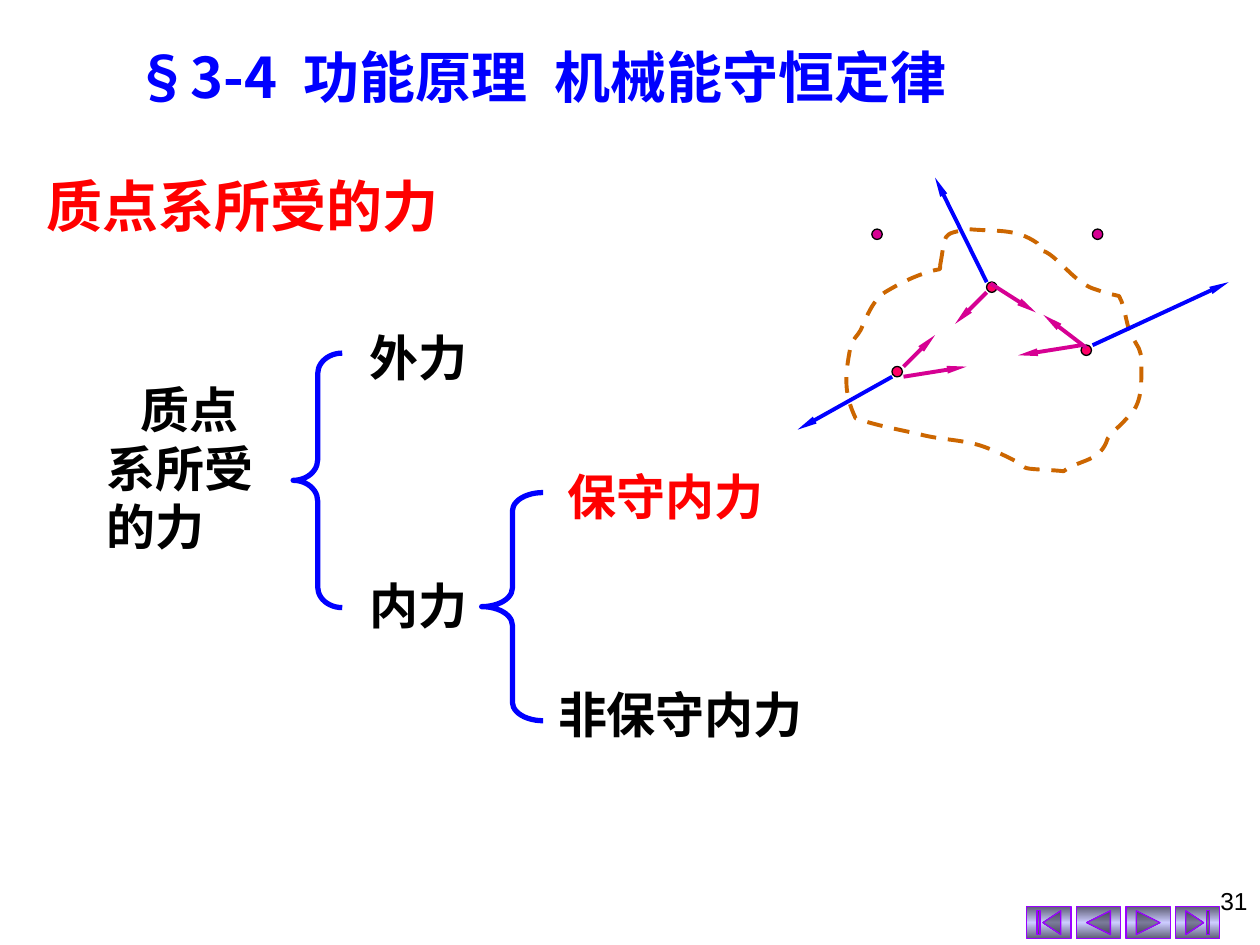
from dataclasses import dataclass
from itertools import chain

from lxml import etree
from pptx import Presentation
from pptx import util as u
from pptx.dml.color import RGBColor
from pptx.enum import dml, shapes, text
from pptx.oxml import parse_xml
from pptx.oxml.ns import nsdecls, qn


@dataclass(frozen=True)
class Theme:
    blue: str = "0000FF"
    red: str = "FF0000"
    black: str = "000000"
    magenta: str = "D60093"
    pink: str = "FF0066"
    brown: str = "CC6600"
    violet: str = "9900FF"
    steel: str = "5E5E76"
    lilac: str = "CCCCFF"
    heading_size: int = 32
    label_size: int = 28
    number_size: int = 14
    heading_font: str = "Noto Sans CJK SC"
    label_font: str = "Times New Roman"
    number_font: str = "Arial"


THEME = Theme()

# The force diagram is drawn on a grid of this many units.
GRID_WIDTH, GRID_HEIGHT = 342, 233
OUTLINE_START = (113, 70)
# Each curve has two control points and an end point.
OUTLINE_CURVES = [
    ((118, 44), (113, 45), (136, 41)), ((157, 43), (173, 40), (190, 52)),
    ((199, 67), (188, 53), (200, 61)), ((211, 69), (221, 83), (234, 88)),
    ((249, 93), (242, 91), (255, 94)), ((261, 105), (260, 119), (267, 129)),
    ((272, 138), (270, 133), (273, 143)), ((272, 157), (275, 175), (265, 187)),
    ((261, 191), (257, 196), (252, 200)), ((250, 202), (246, 207), (246, 207)),
    ((240, 226), (225, 223), (211, 233)), ((202, 232), (193, 232), (184, 231)),
    ((177, 230), (177, 227), (171, 224)), ((163, 220), (155, 216), (146, 213)),
    ((131, 208), (113, 208), (98, 204)), ((81, 200), (63, 197), (46, 191)),
    ((37, 172), (37, 159), (42, 134)), ((43, 129), (48, 125), (50, 121)),
    ((55, 110), (60, 96), (71, 90)), ((83, 83), (93, 78), (107, 74)),
    ((114, 72), (113, 74), (113, 70)),
]
OUTER_PARTICLES = [(63, 45), (238, 45)]
INNER_PARTICLES = [(229, 137), (79, 154), (154, 87)]
INTERNAL_FORCES = [
    ((150, 91), (125, 116)), ((84, 150), (109, 125)), ((84, 158), (134, 150)),
    ((225, 133), (175, 141)), ((153, 84), (189, 107)), ((229, 135), (195, 109)),
]
EXTERNAL_FORCES = [
    ((150, 83), (109, 0)), ((75, 158), (0, 200)), ((234, 133), (342, 83)),
]


def rgb(color):
    return RGBColor.from_string(color)


def style_line(line, color, width):
    line.color.rgb = rgb(color)
    line.width = u.Pt(width)


def format_runs(paragraph, size, font_name, color, bold=True):
    for run in paragraph.runs:
        run.font.size = u.Pt(size)
        run.font.name = font_name
        run.font.bold = bold
        run.font.color.rgb = rgb(color)
        east_asian = etree.SubElement(run.font._element, qn("a:ea"))
        east_asian.set("typeface", THEME.heading_font)


def add_text(slide, box, words, size, font_name, color, bold=True, wrap=True):
    shape = slide.shapes.add_textbox(*box)
    shape.text_frame.text = words
    shape.text_frame.word_wrap = wrap
    paragraph = shape.text_frame.paragraphs[0]
    format_runs(paragraph, size, font_name, color, bold)
    return paragraph


def fill_title(title, box):
    title.left, title.top, title.width, title.height = box
    frame = title.text_frame
    frame.auto_size = text.MSO_AUTO_SIZE.NONE
    frame.vertical_anchor = text.MSO_ANCHOR.MIDDLE
    paragraph = frame.paragraphs[0]
    paragraph.alignment = text.PP_ALIGN.CENTER
    for part in ("§3-4", " ", "功能原理", " ", "机械能守恒定律"):
        run = paragraph.add_run()
        run.text = part
        if part == " ":
            run.font._element.set("spc", "780")  # widens the gap
    format_runs(paragraph, THEME.heading_size, THEME.heading_font, THEME.blue)


def add_force_tree(slide, left, top):
    """Braces that split the forces on a system into their kinds."""
    def label(x, y, width, height, words, color=THEME.black, wrap=False):
        box = left + u.Cm(x), top + u.Cm(y), u.Cm(width), u.Cm(height)
        return add_text(slide, box, words, THEME.label_size, THEME.label_font, color, wrap=wrap)

    root = label(0, 1.04, 3.78, 3.81, "质点系所受的力", wrap=True)
    root._p.get_or_add_pPr().set("indent", str(u.Cm(0.68)))
    label(5.3, 0, 2.49, 1.45, "外力")
    label(5.3, 5, 2.49, 1.45, "内力")
    label(9.3, 2.79, 4.47, 1.45, "保守内力", THEME.red)
    label(9.1, 7.2, 5.46, 1.45, "非保守内力")

    braces = [(4.01, 0.64, 0.99, 5.13, 0.42), (7.81, 3.45, 1.24, 4.6, 0.3)]
    for x, y, width, height, curl in braces:
        brace = slide.shapes.add_shape(
            shapes.MSO_SHAPE.LEFT_BRACE, left + u.Cm(x), top + u.Cm(y), u.Cm(width), u.Cm(height))
        brace.adjustments[0] = curl
        brace.shadow.inherit = False
        brace.fill.background()
        style_line(brace.line, THEME.blue, 3)


def bend_segments(freeform):
    """Turn each three straight segments into one Bezier curve."""
    segments = list(freeform._element.iter(qn("a:lnTo")))
    for index in range(0, len(segments), 3):
        curve = etree.Element(qn("a:cubicBezTo"))
        segments[index].addprevious(curve)
        for segment in segments[index:index + 3]:
            curve.append(segment[0])
            segment.getparent().remove(segment)


def add_force_diagram(slide, left, top, width, height):
    """Particles inside and outside a system, with the forces on them."""
    group = slide.shapes.add_group_shape()

    def place(point):
        return (int(left + width * point[0] / GRID_WIDTH),
                int(top + height * point[1] / GRID_HEIGHT))

    def add_particle(center, color):
        x, y = place(center)
        size = u.Cm(0.21)
        particle = group.shapes.add_shape(
            shapes.MSO_SHAPE.OVAL, x - size // 2, y - size // 2, size, size)
        particle.shadow.inherit = False
        particle.fill.solid()
        particle.fill.fore_color.rgb = rgb(color)
        style_line(particle.line, THEME.black, 0.75)

    def add_force(start, end, color):
        arrow = group.shapes.add_connector(
            shapes.MSO_CONNECTOR.STRAIGHT, *place(start), *place(end))
        style_line(arrow.line, color, 2.25)
        head = etree.SubElement(arrow.line._get_or_add_ln(), qn("a:tailEnd"))
        for name, value in (("type", "triangle"), ("w", "sm"), ("len", "lg")):
            head.set(name, value)
        etree.SubElement(arrow._element.spPr, qn("a:effectLst"))

    for center in OUTER_PARTICLES:
        add_particle(center, THEME.magenta)
    for center in INNER_PARTICLES:
        add_particle(center, THEME.pink)

    builder = group.shapes.build_freeform(*place(OUTLINE_START))
    builder.add_line_segments([place(p) for p in chain.from_iterable(OUTLINE_CURVES)])
    outline = builder.convert_to_shape()
    bend_segments(outline)
    outline.shadow.inherit = False
    outline.fill.background()
    style_line(outline.line, THEME.brown, 2.25)
    outline.line.dash_style = dml.MSO_LINE.DASH

    for forces, color in ((INTERNAL_FORCES, THEME.magenta), (EXTERNAL_FORCES, THEME.blue)):
        for start, end in forces:
            add_force(start, end, color)


def add_navigation(slide, left, top):
    kinds = shapes.MSO_SHAPE
    stops = "".join(
        f'<a:gs pos="{position}"><a:srgbClr val="{color}"/></a:gs>'
        for position, color in ((0, THEME.steel), (50000, THEME.lilac), (100000, THEME.steel)))
    buttons = (kinds.ACTION_BUTTON_BEGINNING, kinds.ACTION_BUTTON_BACK_OR_PREVIOUS,
               kinds.ACTION_BUTTON_FORWARD_OR_NEXT, kinds.ACTION_BUTTON_END)
    for index, kind in enumerate(buttons):
        button = slide.shapes.add_shape(kind, left + index * u.Cm(1), top, u.Cm(0.89), u.Cm(0.64))
        button.shadow.inherit = False
        style_line(button.line, THEME.violet, 0.75)
        gradient = parse_xml(f'<a:gradFill {nsdecls("a")}><a:gsLst>{stops}</a:gsLst>'
                             '<a:lin ang="5400000" scaled="1"/></a:gradFill>')
        button._element.spPr.find(qn("a:prstGeom")).addnext(gradient)


def main():
    presentation = Presentation()
    presentation.slide_width, presentation.slide_height = u.Cm(25.4), u.Cm(19.05)
    slide = presentation.slides.add_slide(presentation.slide_layouts[5])
    add_navigation(slide, u.Cm(20.7), u.Cm(18.28))
    add_force_diagram(slide, u.Cm(16.08), u.Cm(3.58), u.Cm(8.69), u.Cm(5.92))
    add_force_tree(slide, u.Cm(1.9), u.Cm(6.48))
    number = add_text(slide, (u.Cm(19.48), u.Cm(17.73), u.Cm(5.92), u.Cm(1.32)), "31",
                      THEME.number_size, THEME.number_font, THEME.black, bold=False)
    number.alignment = text.PP_ALIGN.RIGHT
    fill_title(slide.shapes.title, (u.Cm(0.89), u.Cm(0.73), u.Cm(20.02), u.Cm(1.6)))
    add_text(slide, (u.Cm(0.69), u.Cm(3.33), u.Cm(10.69), u.Cm(1.6)), "质点系所受的力",
             THEME.heading_size, THEME.heading_font, THEME.red)
    presentation.save("out.pptx")


if __name__ == "__main__":
    main()
